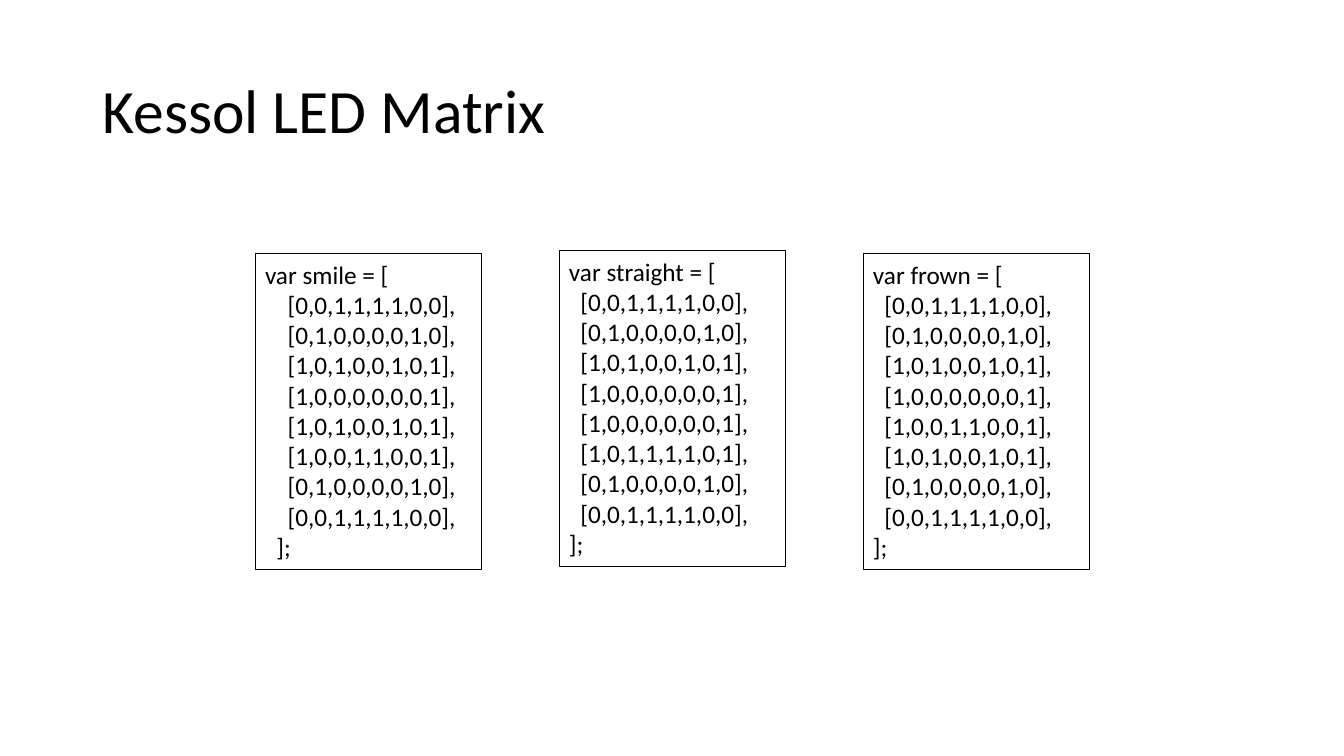
from pptx import Presentation
from pptx.dml.color import RGBColor
from pptx.enum.shapes import MSO_SHAPE
from pptx.enum.text import MSO_ANCHOR, MSO_AUTO_SIZE, PP_ALIGN
from pptx.util import Inches, Pt

FONT = "Calibri"
BLACK = "000000"
BOX_W, BOX_H = 2.25, 3.13
FIRST_LEFT, COLUMN_STEP = 2.53, 3.015

# name, top, indent of the closing bracket, the four rows that draw the mouth
FACES = [
    ("smile", 2.52, 2, ["10000001", "10100101", "10011001", "01000010"]),
    ("straight", 2.49, 0, ["10000001", "10000001", "10111101", "01000010"]),
    ("frown", 2.52, 0, ["10000001", "10011001", "10100101", "01000010"]),
]
EYES = ["00111100", "01000010", "10100101"]
CHIN = ["00111100"]


def color(hex_code):
    return RGBColor.from_string(hex_code)


def format_runs(tf, size):
    for p in tf.paragraphs:
        p.alignment = PP_ALIGN.LEFT
        for r in p.runs:
            r.font.name = FONT
            r.font.size = Pt(size)
            r.font.color.rgb = color(BLACK)


def add_title(slide, text):
    sp = slide.shapes.add_textbox(Inches(0.92), Inches(0.4), Inches(11.5), Inches(1.45))
    tf = sp.text_frame
    tf.word_wrap = True
    tf.vertical_anchor = MSO_ANCHOR.MIDDLE
    tf.text = text
    tf.paragraphs[0].line_spacing = 0.9
    format_runs(tf, 44)


def matrix_code(name, indent, mouth):
    """Return the code that declares one face as an 8 by 8 array."""
    margin = " " * indent
    rows = [f"{margin}  [{','.join(bits)}]," for bits in EYES + mouth + CHIN]
    return "\n".join([f"var {name} = [", *rows, f"{margin}];"])


def add_code_box(slide, left, top, code):
    sp = slide.shapes.add_shape(MSO_SHAPE.RECTANGLE, Inches(left), Inches(top),
                                Inches(BOX_W), Inches(BOX_H))
    sp.shadow.inherit = False
    sp.fill.background()
    sp.line.color.rgb = color(BLACK)
    sp.line.width = Pt(0.75)
    tf = sp.text_frame
    tf.word_wrap = True
    tf.auto_size = MSO_AUTO_SIZE.SHAPE_TO_FIT_TEXT
    tf.vertical_anchor = MSO_ANCHOR.TOP
    tf.text = code
    format_runs(tf, 18)


def main():
    prs = Presentation()
    prs.slide_width, prs.slide_height = Inches(13.33), Inches(7.5)
    slide = prs.slides.add_slide(prs.slide_layouts[6])
    add_title(slide, "Kessol LED Matrix")
    for column, (name, top, indent, mouth) in enumerate(FACES):
        left = FIRST_LEFT + column * COLUMN_STEP
        add_code_box(slide, left, top, matrix_code(name, indent, mouth))
    prs.save("out.pptx")


if __name__ == "__main__":
    main()
